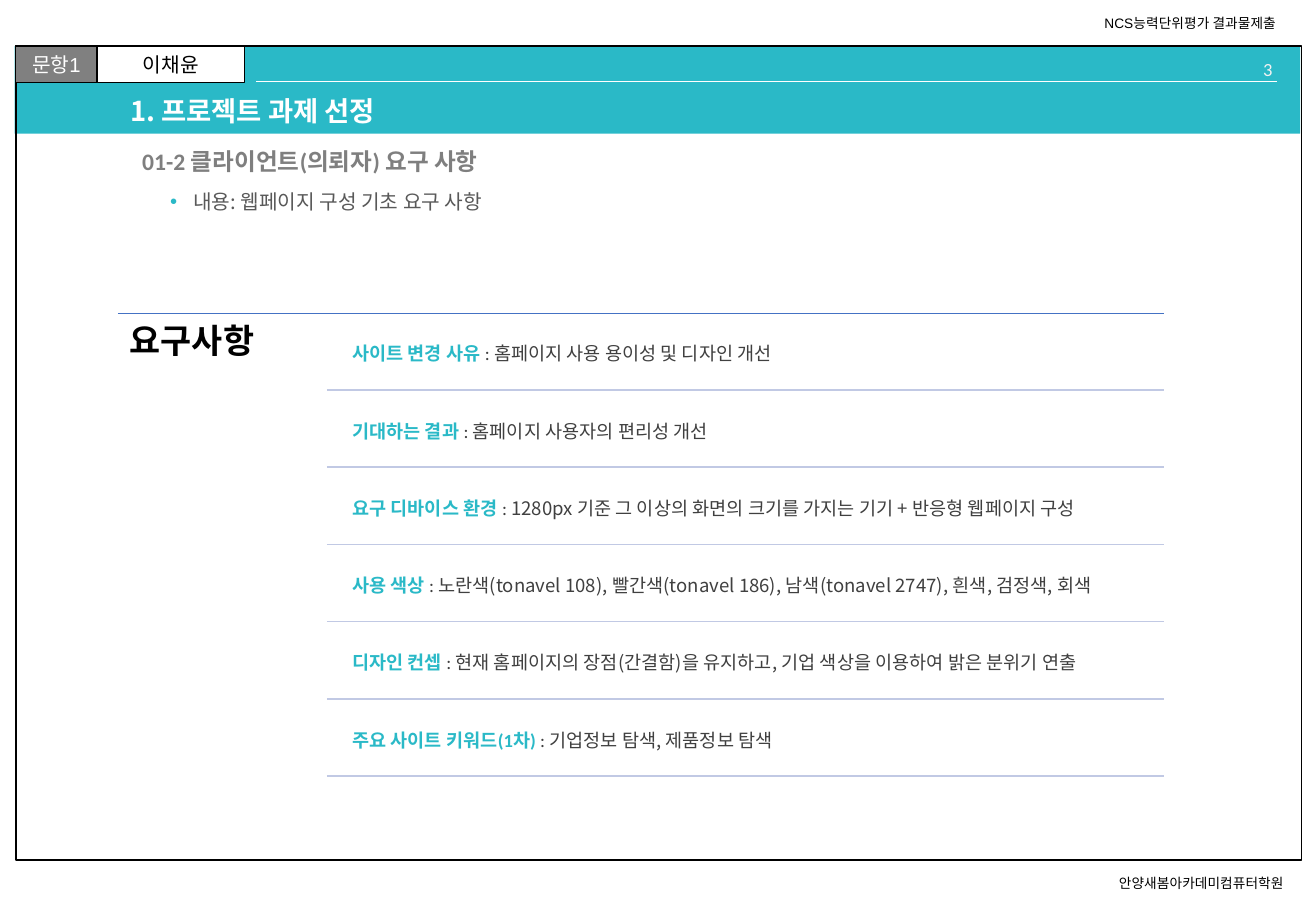
import pptx
import pptx.dml.color
import pptx.enum.shapes
import pptx.enum.text
import pptx.oxml
import pptx.oxml.ns
import pptx.util

TEAL = pptx.dml.color.RGBColor(0x2A, 0xB9, 0xC7)
BLACK = pptx.dml.color.RGBColor(0x00, 0x00, 0x00)
WHITE = pptx.dml.color.RGBColor(0xFF, 0xFF, 0xFF)
OFF_WHITE = pptx.dml.color.RGBColor(0xF2, 0xF2, 0xF2)
TAB_GRAY = pptx.dml.color.RGBColor(0x80, 0x80, 0x80)
SUBTITLE_GRAY = pptx.dml.color.RGBColor(0x7F, 0x7F, 0x7F)
BODY_GRAY = pptx.dml.color.RGBColor(0x59, 0x59, 0x59)
ROW_GRAY = pptx.dml.color.RGBColor(0x40, 0x40, 0x40)
RULE_BLUE = pptx.dml.color.RGBColor(0x44, 0x72, 0xC4)
RULE_PALE = pptx.dml.color.RGBColor(0xC1, 0xC9, 0xE4)
KOREAN = "Noto Sans CJK KR"
LEFT = pptx.enum.text.PP_ALIGN.LEFT
RIGHT = pptx.enum.text.PP_ALIGN.RIGHT
MIDDLE = pptx.enum.text.MSO_ANCHOR.MIDDLE
TOP = pptx.enum.text.MSO_ANCHOR.TOP


def add_span(para, text, size, color, font=KOREAN, bold=False):
    """Append one run, with the Korean font for its East Asian letters."""
    span = para.add_run()
    span.text = text
    span.font.size = pptx.util.Pt(size)
    span.font.bold = bold
    span.font.name = font
    span.font.color.rgb = color
    east_asian = pptx.oxml.parse_xml(
        f'<a:ea {pptx.oxml.ns.nsdecls("a")} typeface="{KOREAN}"/>')
    span.font._element.find(pptx.oxml.ns.qn("a:latin")).addnext(east_asian)


def add_rule(left, right, top, color, width):
    rule = page.shapes.add_connector(
        pptx.enum.shapes.MSO_CONNECTOR.STRAIGHT,
        pptx.util.Inches(left), pptx.util.Inches(top),
        pptx.util.Inches(right), pptx.util.Inches(top))
    rule.line.color.rgb = color
    rule.line.width = pptx.util.Pt(width)
    properties = rule.element.find(pptx.oxml.ns.qn("p:spPr"))
    properties.append(pptx.oxml.parse_xml(
        f'<a:effectLst {pptx.oxml.ns.nsdecls("a")}/>'))


deck = pptx.Presentation()
deck.slide_width = pptx.util.Inches(10.83)
deck.slide_height = pptx.util.Inches(7.5)
page = deck.slides.add_slide(deck.slide_layouts[3])
title, subtitle, body = page.placeholders

# Header band, page frame and name tabs, all behind the title
for left, top, width, height, fill, line_width, label, color, font in [
    (0.12, 0.38, 10.58, 0.72, TEAL, 0, "", WHITE, KOREAN),
    (0.13, 0.38, 10.58, 6.7, None, 1, "", BLACK, KOREAN),
    (0.13, 0.38, 0.67, 0.3, TAB_GRAY, 0.75, "문항1", WHITE, "Arial"),
    (0.8, 0.38, 1.21, 0.3, WHITE, 0.75, "이채윤", BLACK, KOREAN),
]:
    panel = page.shapes.add_shape(
        pptx.enum.shapes.MSO_SHAPE.RECTANGLE,
        pptx.util.Inches(left), pptx.util.Inches(top),
        pptx.util.Inches(width), pptx.util.Inches(height))
    panel.shadow.inherit = False
    if fill is None:
        panel.fill.background()
    else:
        panel.fill.solid()
        panel.fill.fore_color.rgb = fill
    if line_width:
        panel.line.color.rgb = BLACK
        panel.line.width = pptx.util.Pt(line_width)
    else:
        panel.line.fill.background()
    if label:
        panel.text_frame.vertical_anchor = MIDDLE
        para = panel.text_frame.paragraphs[0]
        para.alignment = pptx.enum.text.PP_ALIGN.CENTER
        add_span(para, label, 12, color, font)
    title.element.addprevious(panel.element)

add_rule(2.11, 10.51, 0.67, WHITE, 0.5)

# Title, subtitle and bullet line
for holder, left, top, width, text, size, color, font, bold, before, spacing in [
    (title, 0.97, 0.76, 8.76, "1. 프로젝트 과제 선정",
     16.2, WHITE, KOREAN, True, 0, 0.9),
    (subtitle, 1.07, 1.17, 8.66, "01-2 클라이언트(의뢰자) 요구 사항",
     14, SUBTITLE_GRAY, "Calibri", True, 10, 0.9),
    (body, 1.3, 1.51, 8.43, "내용: 웹페이지 구성 기초 요구 사항",
     12, BODY_GRAY, KOREAN, False, 3, 1),
]:
    holder.left, holder.top = pptx.util.Inches(left), pptx.util.Inches(top)
    holder.width, holder.height = pptx.util.Inches(width), pptx.util.Inches(0.34)
    frame = holder.text_frame
    frame.auto_size = pptx.enum.text.MSO_AUTO_SIZE.NONE
    frame.vertical_anchor = TOP if holder is body else MIDDLE
    para = frame.paragraphs[0]
    para.alignment = LEFT
    para.space_before = pptx.util.Pt(before)
    para.line_spacing = spacing
    add_span(para, text, size, color, font, bold)

    settings = para._p.get_or_add_pPr()
    indent = pptx.util.Inches(0.19) if holder is body else 0
    settings.set("marL", str(indent))
    settings.set("indent", str(-indent))
    namespace = pptx.oxml.ns.nsdecls("a")
    if holder is body:
        bullet_parts = [
            f'<a:buClr {namespace}><a:srgbClr val="{TEAL}"/></a:buClr>',
            f'<a:buFont {namespace} typeface="Arial"/>',
            f'<a:buChar {namespace} char="•"/>',
        ]
    else:
        bullet_parts = [f'<a:buNone {namespace}/>']
    for part in bullet_parts:
        settings.append(pptx.oxml.parse_xml(part))

# Single-run text boxes
for left, top, width, height, text, size, color, font, bold, align, wrap in [
    (9.11, 7.15, 1.68, 0.24, "안양새봄아카데미컴퓨터학원",
     8.1, BLACK, "Arial", False, LEFT, False),
    (8.99, 0.07, 1.72, 0.24, "NCS능력단위평가 결과물제출",
     8.1, BLACK, "Arial", False, LEFT, False),
    (9.39, 0.43, 1.18, 0.2, "3",
     11, OFF_WHITE, "Calibri", False, RIGHT, True),
    (0.97, 2.58, 1.72, 3.85, "요구사항",
     20, BLACK, KOREAN, True, LEFT, True),
]:
    box = page.shapes.add_textbox(
        pptx.util.Inches(left), pptx.util.Inches(top),
        pptx.util.Inches(width), pptx.util.Inches(height))
    box.text_frame.word_wrap = wrap
    para = box.text_frame.paragraphs[0]
    para.alignment = align
    add_span(para, text, size, color, font, bold)

# Requirement rows, each closed by a pale rule
add_rule(0.97, 9.58, 2.58, RULE_BLUE, 1)
requirements = [
    ("사이트 변경 사유 ", "홈페이지 사용 용이성 및 디자인 개선"),
    ("기대하는 결과 ", "홈페이지 사용자의 편리성 개선"),
    ("요구 디바이스 환경 ",
     "1280px 기준 그 이상의 화면의 크기를 가지는 기기 + 반응형 웹페이지 구성"),
    ("사용 색상 ",
     "노란색(tonavel 108), 빨간색(tonavel 186), 남색(tonavel 2747), 흰색, 검정색, 회색"),
    ("디자인 컨셉 ",
     "현재 홈페이지의 장점(간결함)을 유지하고, 기업 색상을 이용하여 밝은 분위기 연출"),
    ("주요 사이트 키워드(1차) ", "기업정보 탐색, 제품정보 탐색"),
]
first_rule, last_rule = 3.21, 6.39
row_pitch = (last_rule - first_rule) / (len(requirements) - 1)
for index, (label, detail) in enumerate(requirements):
    rule_top = first_rule + index * row_pitch
    box = page.shapes.add_textbox(
        pptx.util.Inches(2.8), pptx.util.Inches(rule_top - 0.45),
        pptx.util.Inches(6.78), pptx.util.Inches(0.3))
    box.text_frame.word_wrap = True
    box.text_frame.vertical_anchor = MIDDLE
    para = box.text_frame.paragraphs[0]
    add_span(para, label, 11, TEAL, "Calibri", True)
    add_span(para, ": ", 11, ROW_GRAY, "Calibri")
    add_span(para, detail, 11, ROW_GRAY)
    add_rule(2.69, 9.58, rule_top, RULE_PALE, 1)

deck.save("out.pptx")
